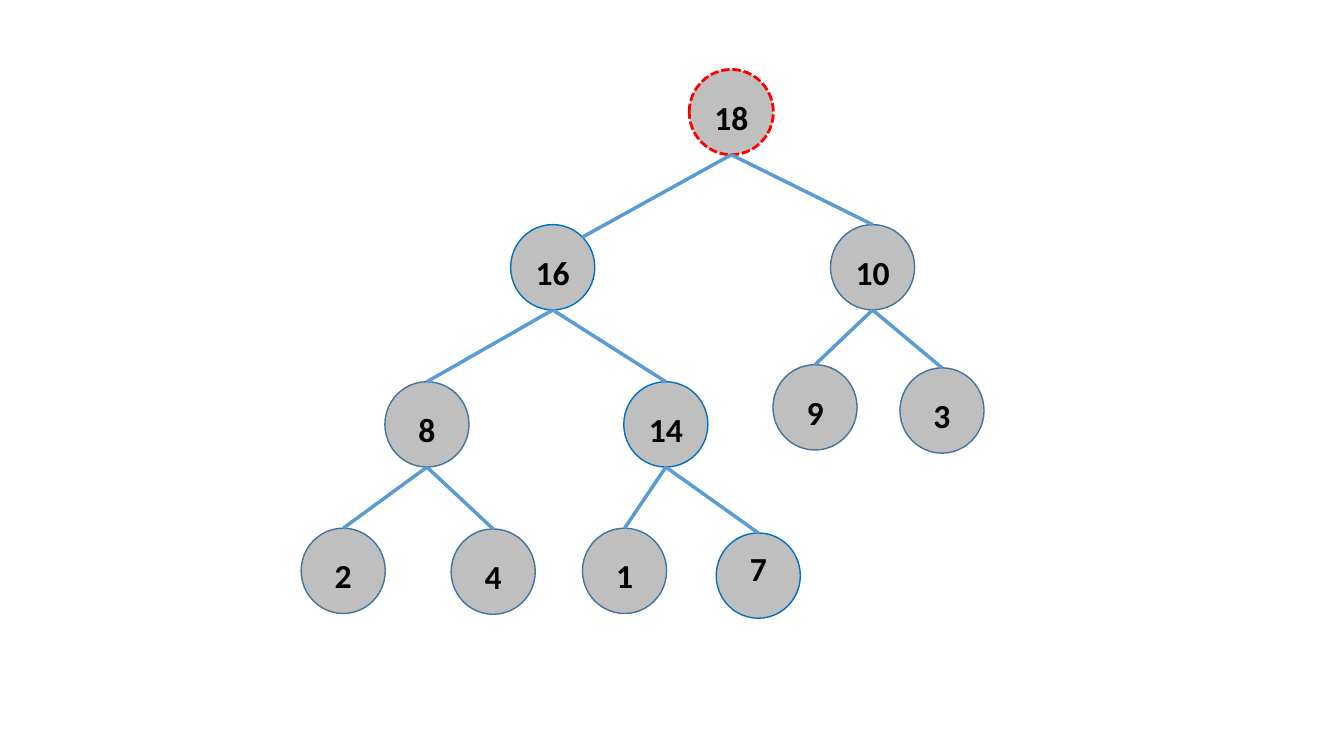
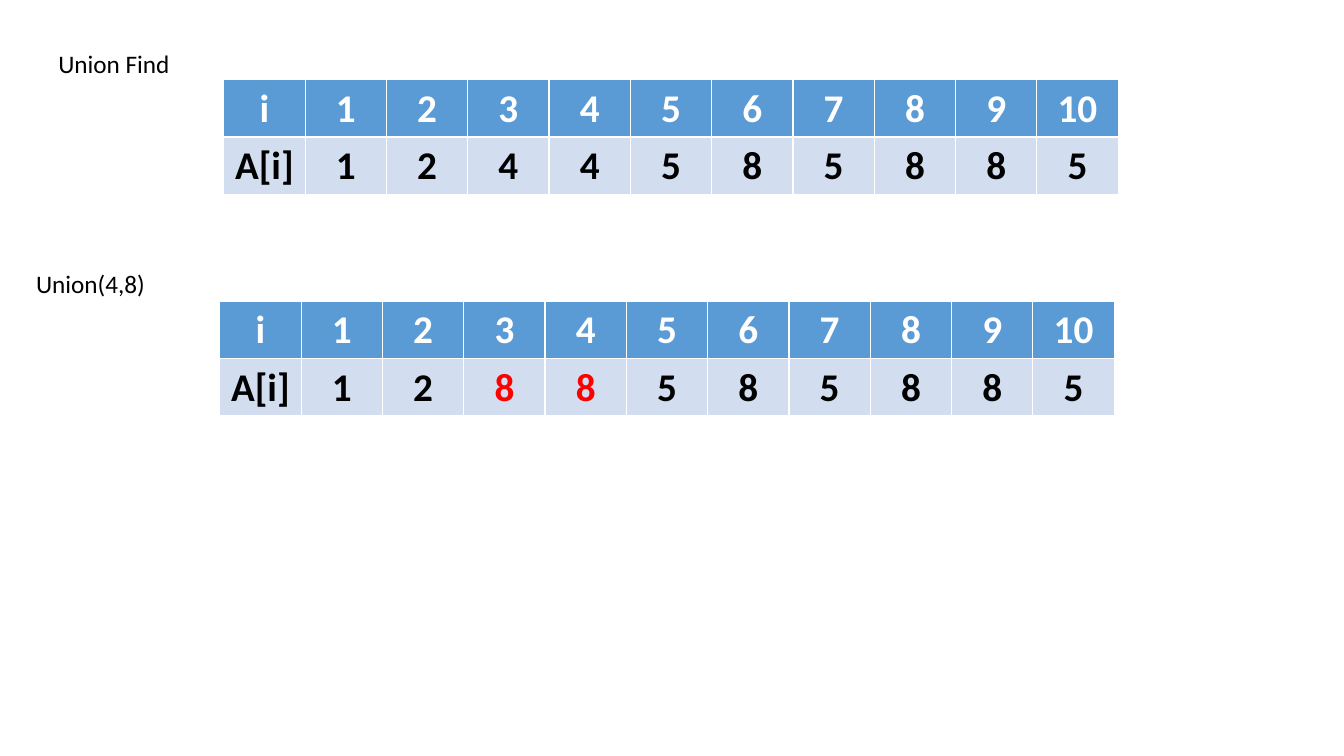
from math import sqrt

from lxml.etree import SubElement
from pptx import Presentation
from pptx.dml.color import RGBColor as Rgb
from pptx.enum.dml import MSO_LINE as Dash
from pptx.enum.shapes import MSO_CONNECTOR as Link, MSO_SHAPE as Kind
from pptx.enum.text import PP_ALIGN as Align
from pptx.oxml.ns import qn
from pptx.util import Cm, Pt

COLORS = {
    "black": "000000", "white": "FFFFFF", "red": "FF0000", "gray": "BFBFBF",
    "steel": "43739E", "azure": "0070C0", "blue": "5B9BD5", "pale": "D2DEEF",
}
FONT = "Calibri"
NODE = (2.12, 2.15)
LABEL = (1.37, 1.27)
DROP = 0.56
CELL = (2.05, 1.44)

# value: (left, top, parent, outline, label drop)
NODES = {
    18: (9.78, 0, None, "red", DROP),
    16: (5.28, 3.91, 18, "azure", DROP),
    10: (13.34, 3.91, 18, "steel", DROP),
    8: (2.11, 7.87, 16, "steel", DROP),
    14: (8.13, 7.87, 16, "azure", DROP),
    9: (11.89, 7.44, 10, "steel", DROP),
    3: (15.09, 7.52, 10, "steel", DROP),
    2: (0, 11.56, 8, "steel", DROP),
    4: (3.78, 11.58, 8, "steel", DROP),
    1: (7.09, 11.56, 14, "steel", DROP),
    7: (10.46, 11.68, 14, "azure", 0.25),
}
PANELS = [
    ("Union Find", (1.22, 1.09, 4.9, 1.02), (4.42, 0.92),
     [1, 2, 4, 4, 5, 8, 5, 8, 8, 5], ()),
    ("Union(4,8)", (0.66, 6.63, 3.53, 1.02), (4.88, 0.97),
     [1, 2, 8, 8, 5, 8, 5, 8, 8, 5], (3, 4)),
]


def paint(name):
    """Return the named colour."""
    return Rgb.from_string(COLORS[name])


def write(frame, text, size=18, color="black", bold=False, align=Align.LEFT):
    """Put formatted text in a text frame."""
    para = frame.paragraphs[0]
    para.alignment = align
    run = para.add_run()
    run.text = str(text)
    font = run.font
    font.name, font.size, font.bold = FONT, Pt(size), bold
    font.color.rgb = paint(color)


def note(slide, box, text, wrap=True, **style):
    """Add a text box."""
    frame = slide.shapes.add_textbox(*map(Cm, box)).text_frame
    frame.word_wrap = wrap
    write(frame, text, **style)


def node(slide, left, top, value, edge, drop):
    """Add a circle with its number and return the circle."""
    disc = slide.shapes.add_shape(Kind.OVAL, *map(Cm, (left, top, *NODE)))
    disc.shadow.inherit = False
    disc.fill.solid()
    disc.fill.fore_color.rgb = paint("gray")
    disc.line.color.rgb = paint(edge)
    disc.line.width = Pt(1)
    if edge == "red":
        disc.line.width = Pt(2)
        disc.line.dash_style = Dash.SQUARE_DOT
    inset = (NODE[0] - LABEL[0]) / 2
    note(slide, (left + inset, top + drop, *LABEL), value, wrap=False,
         size=24, bold=True, align=Align.CENTER)
    return disc


def branch(slide, upper, lower, side=False):
    """Join the bottom of one circle to the top or upper right of another."""
    start = upper.left + upper.width // 2, upper.top + upper.height
    reach = (1 + sqrt(0.5)) / 2
    end = (lower.left + int(lower.width * reach),
           lower.top + int(lower.height * (1 - reach)))
    line = slide.shapes.add_connector(Link.STRAIGHT, *start, *end)
    if not side:
        line.end_connect(lower, 0)
    line.line.color.rgb = paint("blue")
    line.line.width = Pt(2.5)
    SubElement(line.line._get_or_add_ln().getparent(), qn("a:effectLst"))


def tree(slide, left, top):
    """Draw the heap from its upper left corner."""
    discs = {
        value: node(slide, left + x, top + y, value, edge, drop)
        for value, (x, y, _, edge, drop) in NODES.items()
    }
    for value, (_, _, parent, _, _) in NODES.items():
        if parent:
            branch(slide, discs[parent], discs[value], side=value == 16)


def panel(slide, title, box, shift, values, marks):
    """Draw a caption and its array, with the marked indices in red."""
    note(slide, box, title)
    rows = [["i", *range(1, len(values) + 1)], ["A[i]", *values]]
    count = len(rows[0])
    wide, high = CELL
    area = (box[0] + shift[0], box[1] + shift[1], wide * count, high * len(rows))
    grid = slide.shapes.add_table(len(rows), count, *map(Cm, area)).table
    for col in grid.columns:
        col.width = Cm(wide)
    for r, row in enumerate(rows):
        grid.rows[r].height = Cm(high)
        for c, value in enumerate(row):
            cell = grid.cell(r, c)
            cell.fill.solid()
            cell.fill.fore_color.rgb = paint("pale" if r else "blue")
            color = "white" if r == 0 else "red" if c in marks else "black"
            write(cell.text_frame, value, size=28, color=color, bold=True,
                  align=Align.CENTER)


def main():
    """Build and save both slides."""
    deck = Presentation()
    deck.slide_width, deck.slide_height = Cm(33.87), Cm(19.05)
    blank = deck.slide_layouts[6]
    tree(deck.slides.add_slide(blank), 7.59, 1.75)
    sheet = deck.slides.add_slide(blank)
    for item in PANELS:
        panel(sheet, *item)
    deck.save("out.pptx")


if __name__ == "__main__":
    main()
